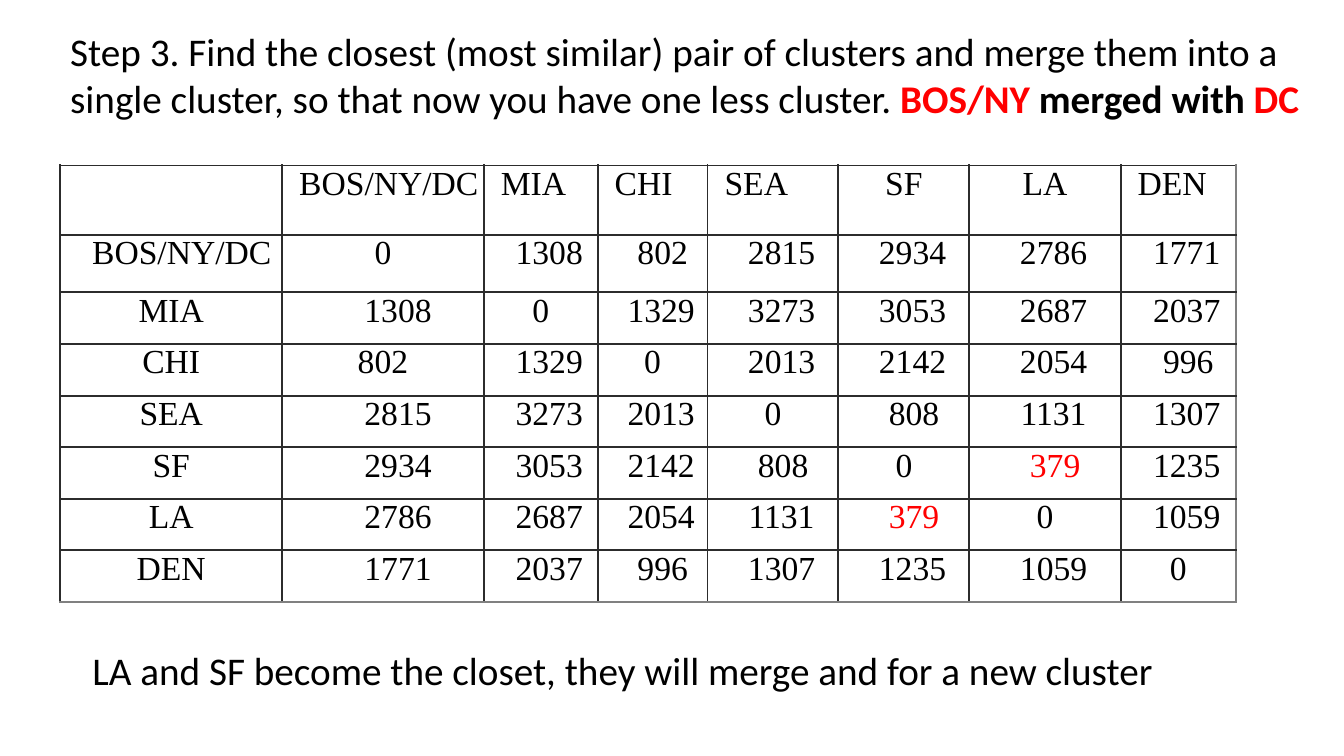
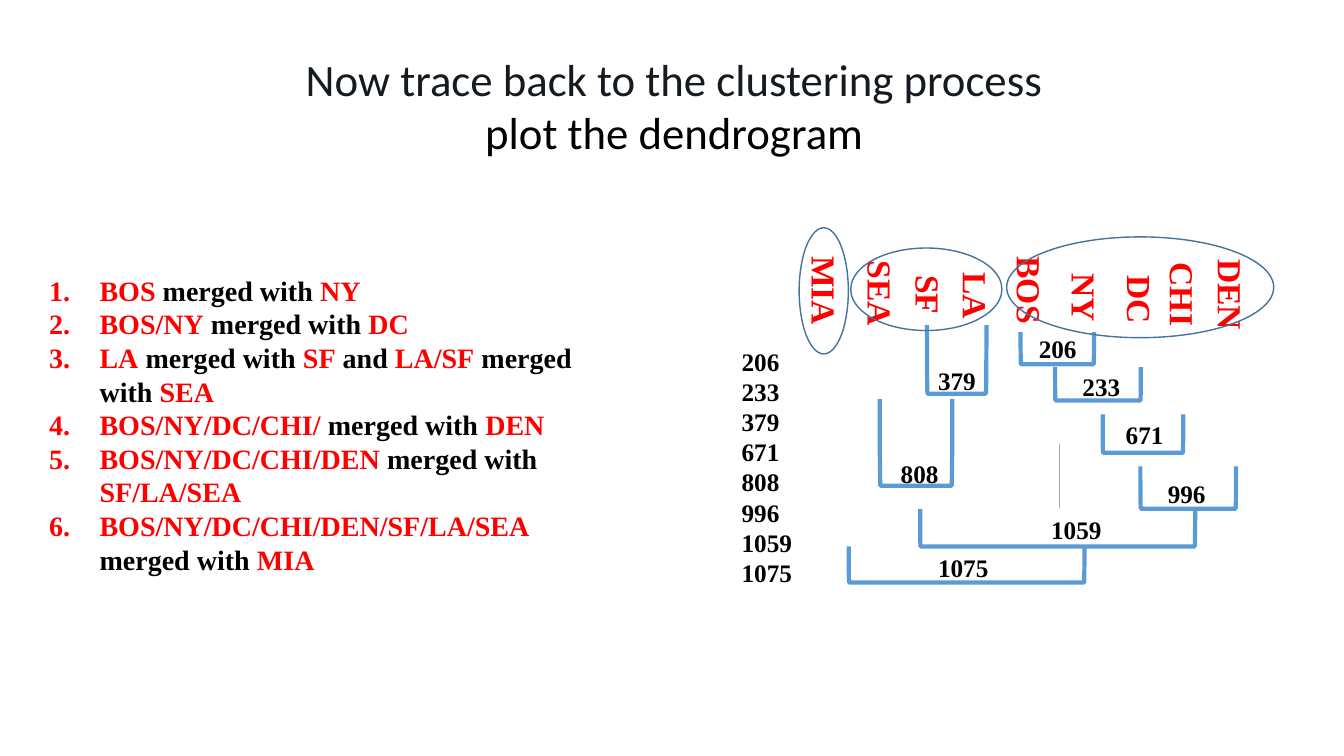
from lxml.etree import SubElement
from pptx import Presentation
from pptx.dml.color import RGBColor
from pptx.enum.shapes import MSO_CONNECTOR, MSO_SHAPE
from pptx.enum.text import PP_ALIGN
from pptx.oxml.ns import qn
from pptx.util import Cm, Pt

BLACK, RED, TITLE = "000000", "FF0000", "141A1F"
GRID, EDGE = "2C2C2C", "808080"
BRACKET, RING, THIN = "5B9BD5", "43739E", "A5A5A5"
SANS, SERIF = "Calibri", "Times New Roman"

COLUMNS = [5.59, 5.08, 2.87, 2.77, 3.3, 3.3, 3.81, 2.9]
ROWS = [1.75, 1.45] + [1.3] * 6
CLUSTERS = ["BOS/NY/DC", "MIA", "CHI", "SEA", "SF", "LA", "DEN"]
DISTANCES = [
    [],
    [1308],
    [802, 1329],
    [2815, 3273, 2013],
    [2934, 3053, 2142, 808],
    [2786, 2687, 2054, 1131, 379],
    [1771, 2037, 996, 1307, 1235, 1059],
]
CLOSEST = 379

MERGES = [
    "*BOS* merged with *NY*",
    "*BOS/NY* merged with *DC*",
    "*LA* merged with *SF* and *LA/SF* merged with *SEA*",
    "*BOS/NY/DC/CHI/* merged with *DEN*",
    "*BOS/NY/DC/CHI/DEN* merged with *SF/LA/SEA*",
    "*BOS/NY/DC/CHI/DEN/SF/LA/SEA* merged with *MIA*",
]

CITIES = [
    ("MIA", 2.35, 1.6, 2.26), ("SEA", 3.76, 1.68, 2.18), ("SF", 4.97, 1.7, 1.5),
    ("LA", 6.16, 1.73, 1.7), ("BOS", 7.52, 1.6, 2.24), ("NY", 8.9, 1.8, 1.8),
    ("DC", 10.3, 1.83, 1.75), ("CHI", 11.38, 1.7, 2.13), ("DEN", 12.59, 1.7, 2.31),
]
JOINS = [
    ("206", (7.28, 2.63, 1.85, 0.81), (7.49, 2.54)),
    ("233", (8.15, 3.51, 2.16, 0.84), (8.59, 3.48)),
    ("379", (4.92, 2.45, 1.5, 1.73), (4.95, 3.33)),
    ("671", (9.35, 4.7, 2.03, 0.97), (9.68, 4.7)),
    ("808", (3.73, 4.32, 1.83, 2.18), (4.01, 5.69)),
    ("996", (10.3, 6.01, 2.41, 1.07), (10.74, 6.2)),
    ("1059", (4.75, 7.09, 6.93, 0.94), (7.8, 7.09)),
    ("1075", (2.95, 8.03, 5.94, 0.91), (4.95, 8.05)),
]
RINGS = [(1.7, 0, 1.24, 3.18), (3, 0.51, 3.81, 2.08), (6.93, 0.23, 6.73, 2.54)]


def rgb(value):
    """Turn a hex string into a colour."""
    return RGBColor.from_string(value)


def write(p, text, size, font=SERIF, bold=False, color=BLACK):
    """Fill a paragraph, with the parts between asterisks in red."""
    p.font.size, p.font.name, p.font.bold = Pt(size), font, bold
    p.font.color.rgb = rgb(color)
    for i, part in enumerate(text.split("*")):
        if part:
            r = p.add_run()
            r.text = part
            if i % 2:
                r.font.color.rgb = rgb(RED)


def number(p):
    """Give a paragraph an automatic number and a hanging indent."""
    pr = p._p.get_or_add_pPr()
    pr.set("marL", str(Cm(1.27)))
    pr.set("indent", str(-Cm(1.27)))
    SubElement(pr, qn("a:buFont"), typeface="+mj-lt")
    SubElement(pr, qn("a:buAutoNum"), type="arabicPeriod")


def add_text(s, box, lines, size, font=SERIF, bold=False, color=BLACK,
             align=PP_ALIGN.LEFT, wrap=True, numbered=False):
    """Add a text box with one paragraph for each line."""
    sp = s.shapes.add_textbox(*map(Cm, box))
    tf = sp.text_frame
    tf.word_wrap = wrap
    for i, line in enumerate(lines):
        p = tf.add_paragraph() if i else tf.paragraphs[0]
        p.alignment = align
        if numbered:
            number(p)
        write(p, line, size, font, bold, color)
    return sp


def add_outline(s, kind, box, color, width):
    """Add an unfilled preset shape."""
    sp = s.shapes.add_shape(kind, *map(Cm, box))
    sp.shadow.inherit = False
    sp.fill.background()
    sp.line.color.rgb = rgb(color)
    sp.line.width = Pt(width)
    return sp


def add_bracket(s, box):
    """Add a bracket that opens upward and fills the box."""
    x, y, w, h = box
    turned = (x + (w - h) / 2, y + (h - w) / 2, h, w)
    sp = add_outline(s, MSO_SHAPE.LEFT_BRACKET, turned, BRACKET, 3)
    sp.adjustments[0] = 0.01
    sp.rotation = 270


def add_thin_line(s, x, top, bottom):
    """Add a thin vertical line."""
    line = s.shapes.add_connector(MSO_CONNECTOR.STRAIGHT, Cm(x), Cm(top), Cm(x), Cm(bottom))
    line.line.color.rgb = rgb(THIN)
    line.line.width = Pt(0.5)
    SubElement(line._element.spPr, qn("a:effectLst"))


def cell_text(row, col):
    """Return the name or distance for a cell of the matrix."""
    if row == 0 or col == 0:
        return CLUSTERS[row + col - 1] if row + col else ""
    if row == col:
        return "0"
    value = DISTANCES[max(row, col) - 1][min(row, col) - 1]
    return f"*{value}*" if value == CLOSEST else str(value)


def cell_layout(row, col, text):
    """Return the alignment and left indent of a cell."""
    if row == 0:
        return (PP_ALIGN.CENTER, 0) if text in ("SF", "LA") else (PP_ALIGN.LEFT, 0.43)
    if col == 0:
        return PP_ALIGN.CENTER, 0.53 if row == 1 else 0
    digits = len(text.strip("*"))
    if digits == 1 or (col == 1 and digits == 3):
        return PP_ALIGN.CENTER, 0
    if col == 1:
        return PP_ALIGN.CENTER, 0.76
    return PP_ALIGN.CENTER, 0.51 if digits == 3 else 0.43


def set_borders(cell, last_row, last_col):
    """Draw the four borders of a cell, grey on the outer right and bottom."""
    colors = {"L": GRID, "R": EDGE if last_col else GRID,
              "T": GRID, "B": EDGE if last_row else GRID}
    for side, color in colors.items():
        ln = SubElement(cell._tc.get_or_add_tcPr(), qn(f"a:ln{side}"), w=str(Pt(1.6)))
        SubElement(SubElement(ln, qn("a:solidFill")), qn("a:srgbClr"), val=color)


def add_matrix(s, x, y):
    """Add the distance matrix with its top left corner at x, y."""
    frame = s.shapes.add_table(len(ROWS), len(COLUMNS), Cm(x), Cm(y),
                               Cm(sum(COLUMNS)), Cm(sum(ROWS)))
    table = frame.table
    table.first_row = table.horz_banding = False
    for col, width in enumerate(COLUMNS):
        table.columns[col].width = Cm(width)
    for row, height in enumerate(ROWS):
        table.rows[row].height = Cm(height)
        for col in range(len(COLUMNS)):
            cell = table.cell(row, col)
            cell.margin_left = cell.margin_right = cell.margin_top = cell.margin_bottom = 0
            set_borders(cell, row == len(ROWS) - 1, col == len(COLUMNS) - 1)
            cell.fill.background()
            text = cell_text(row, col)
            p = cell.text_frame.paragraphs[0]
            p.alignment, indent = cell_layout(row, col, text)
            p._p.get_or_add_pPr().set("marL", str(Cm(indent)))
            write(p, text, 24)


def add_dendrogram(s, x, y):
    """Add the dendrogram and its list of heights from the corner x, y."""
    for name, cx, cy, w in CITIES:
        box = (x + cx - w / 2, y + cy - 0.64, w, 1.27)
        add_text(s, box, [name], 24, bold=True, color=RED, wrap=False).rotation = 90
    add_thin_line(s, x + 8.26, y + 5.46, y + 7.06)
    for _, (bx, by, w, h), _ in JOINS:
        add_bracket(s, (x + bx, y + by, w, h))
    heights = [height for height, _, _ in JOINS]
    add_text(s, (x, y + 2.85, 1.8, 6.4), heights, 18, bold=True, wrap=False)
    for height, _, (lx, ly) in JOINS:
        w = 1.8 if len(height) == 4 else 1.47
        add_text(s, (x + lx, y + ly, w, 1.02), [height], 18, bold=True, wrap=False)
    for rx, ry, w, h in RINGS:
        add_outline(s, MSO_SHAPE.OVAL, (x + rx, y + ry, w, h), RING, 1)


def matrix_slide(prs):
    """Build the slide with the distance matrix."""
    s = prs.slides.add_slide(prs.slide_layouts[6])
    add_matrix(s, 1.52, 4.17)
    step = ("Step 3. Find the closest (most similar) pair of clusters and merge them into a "
            "single cluster, so that now you have one less cluster. *BOS/NY* merged with *DC*")
    sp = add_text(s, (1.52, 0.56, 32.3, 2.64), [step], 28, SANS)
    for r in sp.text_frame.paragraphs[0].runs[1:]:
        r.font.bold = True
    note = "LA and SF become the closet, they will merge and for a new cluster"
    add_text(s, (2.08, 16.15, 30, 1.45), [note], 28, SANS)


def dendrogram_slide(prs):
    """Build the slide with the merge list and the dendrogram."""
    s = prs.slides.add_slide(prs.slide_layouts[6])
    add_text(s, (0.99, 6.76, 13.69, 8), MERGES, 20, bold=True, numbered=True)
    add_dendrogram(s, 18.44, 5.74)
    lines = ["Now trace back to the clustering process", "plot the dendrogram"]
    sp = add_text(s, (7.37, 1.17, 19.25, 3), lines, 32, SANS, align=PP_ALIGN.CENTER, wrap=False)
    sp.text_frame.paragraphs[0].font.color.rgb = rgb(TITLE)


def main():
    """Build and save the presentation."""
    prs = Presentation()
    prs.slide_width, prs.slide_height = Cm(33.87), Cm(19.05)
    matrix_slide(prs)
    dendrogram_slide(prs)
    prs.save("out.pptx")


if __name__ == "__main__":
    main()
